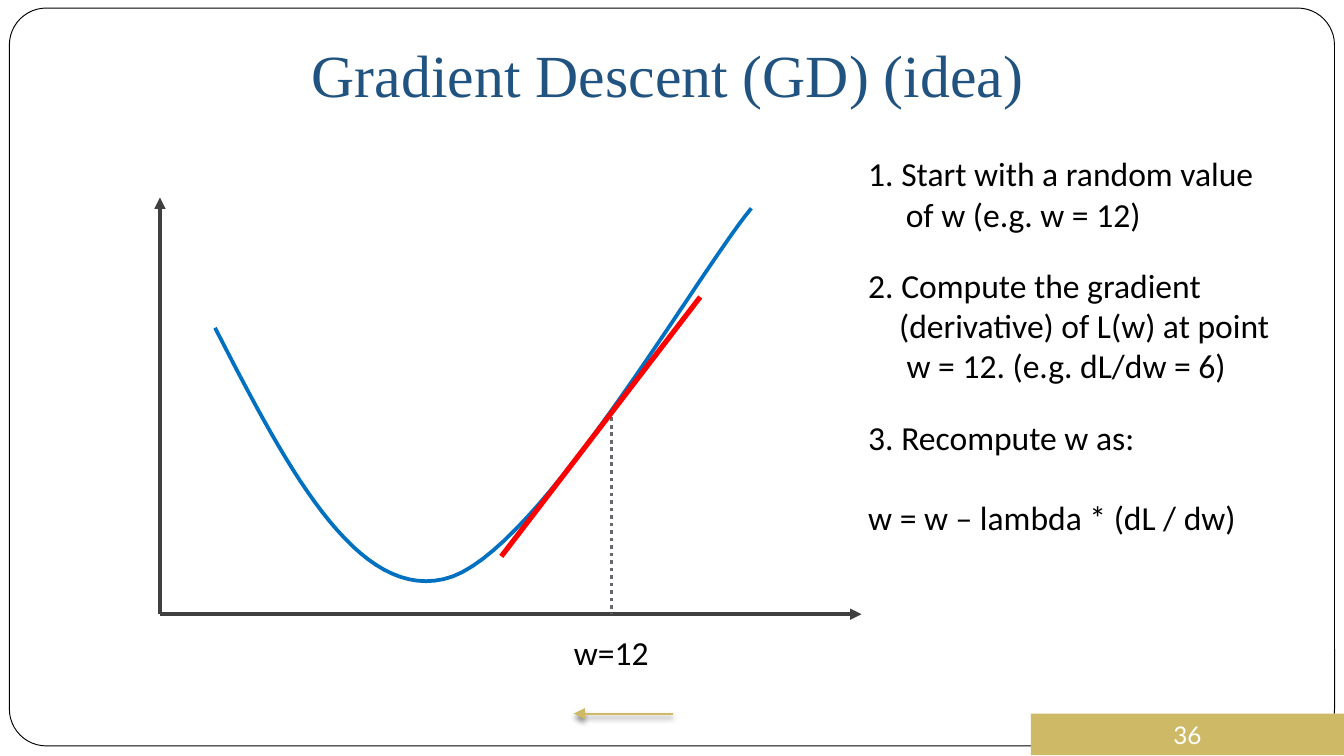
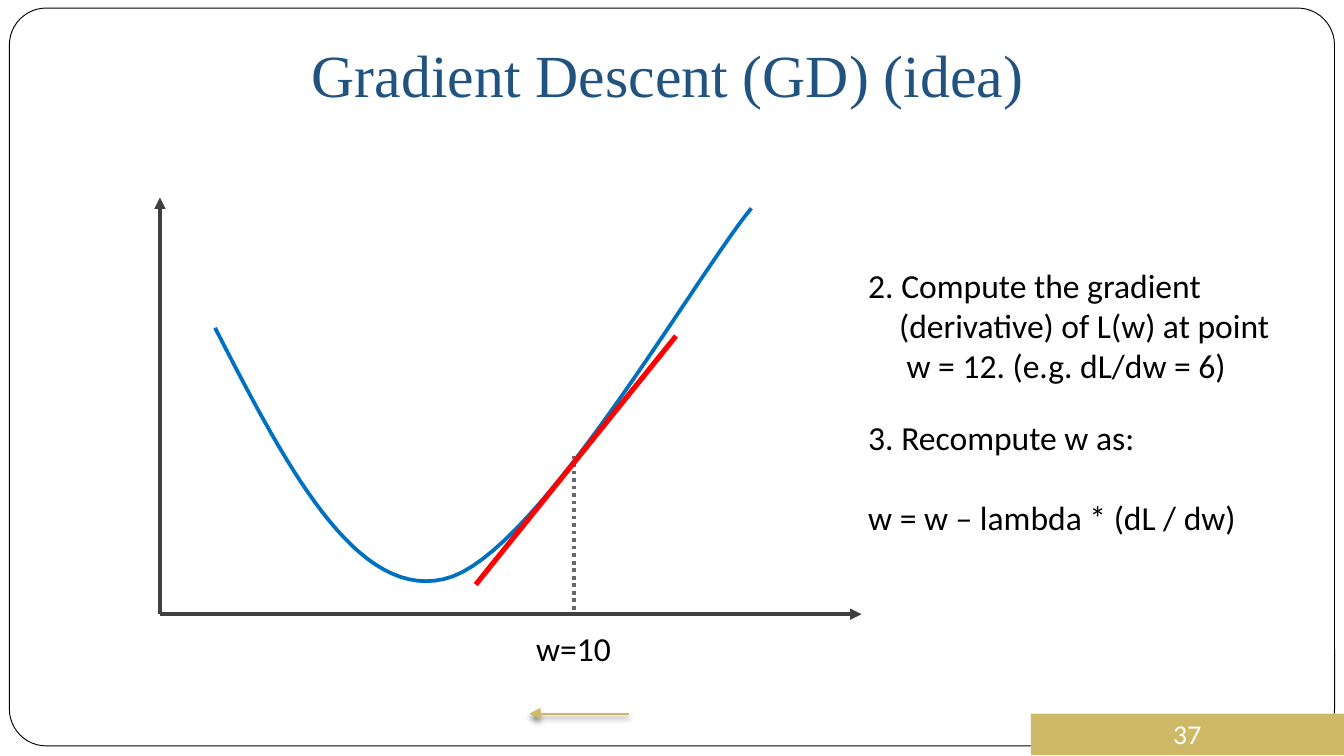
from lxml.etree import SubElement
from pptx import Presentation
from pptx.dml.color import RGBColor
from pptx.enum.dml import MSO_LINE
from pptx.enum.shapes import MSO_CONNECTOR, MSO_SHAPE
from pptx.enum.text import MSO_ANCHOR, MSO_AUTO_SIZE, PP_ALIGN
from pptx.oxml.ns import qn
from pptx.util import Inches, Pt

COLORS = {
    "paper": "FFFFFF", "ink": "000000", "gold": "CEB966", "title": "215380",
    "axis": "404040", "curve": "0070C0", "dots": "69676D", "tangent": "FF0000",
}
TITLE = "Gradient Descent (GD) (idea)"
ORIGIN = (1.19, 4.57)
CURVE_START = (1.6, 2.44)
CURVE_SEGMENTS = [
    [(2.12, 3.45), (2.64, 4.46), (3.3, 4.31)],
    [(3.97, 4.17), (5.15, 2.09), (5.59, 1.55)],
]
CURVE_STEPS = 30
START_STEP = "1. Start with a random value\vof w (e.g. w = 12)"
GRADIENT_STEP = ("2. Compute the gradient\v(derivative) of L(w) at point"
                 "\v w = 12. (e.g. dL/dw = 6)")
UPDATE_STEP = "3. Recompute w as:\nw = w – lambda * (dL / dw)"


def color(name):
    """Return the named colour."""
    return RGBColor.from_string(COLORS[name])


def style_text(paragraph, font, size, ink, align=PP_ALIGN.LEFT):
    """Format a paragraph and its runs."""
    paragraph.alignment = align
    for span in paragraph.runs:
        span.font.name = font
        span.font.size = Pt(size)
        span.font.color.rgb = color(ink)


def set_margins(frame, inset):
    """Give a text frame the same inset on all sides."""
    frame.margin_left = frame.margin_right = Inches(inset)
    frame.margin_top = frame.margin_bottom = Inches(inset)


def add_panel(page, kind, left, top, width, height, fill):
    """Add a filled shape without outline or shadow."""
    panel = page.shapes.add_shape(
        kind, Inches(left), Inches(top), Inches(width), Inches(height))
    panel.shadow.inherit = False
    panel.fill.solid()
    panel.fill.fore_color.rgb = color(fill)
    panel.line.fill.background()
    return panel


def add_line(shapes, start, end, ink, width, arrow=False, shadow=False):
    """Add a straight line, optionally with an arrowhead and a shadow."""
    line = shapes.add_connector(
        MSO_CONNECTOR.STRAIGHT, *[Inches(value) for value in (*start, *end)])
    line.line.color.rgb = color(ink)
    line.line.width = Pt(width)
    if arrow:
        SubElement(line.element.spPr.find(qn("a:ln")), qn("a:tailEnd"), type="triangle")
    effects = SubElement(line.element.spPr, qn("a:effectLst"))
    if shadow:
        outer = SubElement(effects, qn("a:outerShdw"), blurRad=str(Pt(3)),
                           dist=str(Pt(2)), dir="5400000", rotWithShape="0")
        tint = SubElement(outer, qn("a:srgbClr"), val=COLORS["ink"])
        SubElement(tint, qn("a:alpha"), val="50000")
    return line


def add_text(shapes, left, top, width, height, text, wrap=True, hang=0, gap=0):
    """Add a text box with an optional hanging indent and paragraph gap."""
    box = shapes.add_textbox(Inches(left), Inches(top), Inches(width), Inches(height))
    frame = box.text_frame
    frame.word_wrap = wrap
    set_margins(frame, 0.05)
    frame.text = text
    for index, paragraph in enumerate(frame.paragraphs):
        if hang:
            properties = paragraph._p.get_or_add_pPr()
            properties.set("marL", str(Inches(hang)))
            properties.set("indent", str(-Inches(hang)))
        if index:
            paragraph.space_before = Pt(gap)
        style_text(paragraph, "Calibri", 18, "ink")


def add_title(page):
    """Fill and place the title placeholder."""
    title = page.shapes.title
    title.left, title.top = Inches(-0.06), Inches(0.28)
    title.width, title.height = Inches(10.06), Inches(0.64)
    frame = title.text_frame
    frame.text = TITLE
    frame.auto_size = MSO_AUTO_SIZE.NONE
    frame.vertical_anchor = MSO_ANCHOR.TOP
    set_margins(frame, 0)
    style_text(frame.paragraphs[0], "Times New Roman", 32, "title", PP_ALIGN.CENTER)


def add_backdrop(page, number):
    """Add the rounded frame and the page number band behind the title."""
    border = add_panel(page, MSO_SHAPE.ROUNDED_RECTANGLE, 0.07, 0.06, 9.86, 5.49, "paper")
    border.adjustments[0] = 0.05
    border.line.color.rgb = color("ink")
    border.line.width = Pt(0.5)
    band = add_panel(page, MSO_SHAPE.RECTANGLE, 7.67, 5.31, 2.33, 0.31, "gold")
    frame = band.text_frame
    frame.text = str(number)
    frame.word_wrap = False
    frame.vertical_anchor = MSO_ANCHOR.MIDDLE
    set_margins(frame, 0)
    style_text(frame.paragraphs[0], "Lato", 13, "paper", PP_ALIGN.CENTER)
    for panel in (border, band):
        page.shapes.title.element.addprevious(panel.element)


def curve_points():
    """Return points along the cubic loss curve."""
    points = [CURVE_START]
    for first, second, end in CURVE_SEGMENTS:
        start = points[-1]
        for step in range(1, CURVE_STEPS + 1):
            t = step / CURVE_STEPS
            weights = ((1 - t) ** 3, 3 * t * (1 - t) ** 2, 3 * t ** 2 * (1 - t), t ** 3)
            points.append(tuple(
                sum(weight * value for weight, value in zip(weights, axis))
                for axis in zip(start, first, second, end)))
    return points


def add_loss_plot(page):
    """Draw the axes and the loss curve."""
    for end in ((1.19, 1.47), (6.41, 4.57)):
        add_line(page.shapes, ORIGIN, end, "axis", 2, arrow=True)
    points = [(Inches(x), Inches(y)) for x, y in curve_points()]
    builder = page.shapes.build_freeform(*points[0])
    builder.add_line_segments(points[1:], close=False)
    curve = builder.convert_to_shape()
    curve.shadow.inherit = False
    curve.fill.background()
    curve.line.color.rgb = color("curve")
    curve.line.width = Pt(2)


def add_marker(page, label, x, top, bottom, label_top):
    """Group a dotted drop line with its label."""
    group = page.shapes.add_group_shape()
    drop = add_line(group.shapes, (x, top), (x, bottom), "dots", 2)
    drop.line.dash_style = MSO_LINE.ROUND_DOT
    add_text(group.shapes, x - 0.33, label_top, 0.66, 0.37, label, wrap=False)


def add_descent_page(deck, number, marker, tangent, arrow_left):
    """Add one gradient descent step."""
    page = deck.slides.add_slide(deck.slide_layouts[5])
    add_title(page)
    add_backdrop(page, number)
    add_loss_plot(page)
    add_marker(page, *marker)
    add_text(page.shapes, 6.41, 1.92, 3.31, 1.01, GRADIENT_STEP, hang=0.23)
    add_text(page.shapes, 6.41, 3.05, 3.31, 1.01, UPDATE_STEP, gap=21.5)
    add_line(page.shapes, *tangent, "tangent", 2.75)
    add_line(page.shapes, (arrow_left + 0.74, 5.31), (arrow_left, 5.31),
             "gold", 1, arrow=True, shadow=True)
    return page


def main():
    """Build and save the deck."""
    deck = Presentation()
    deck.slide_width = Inches(10)
    deck.slide_height = Inches(10 * 9 / 16)
    first = add_descent_page(deck, 36, ("w=12", 4.55, 3.05, 4.57, 4.65),
                             ((3.73, 4.14), (5.21, 2.21)), 4.27)
    add_text(first.shapes, 6.41, 1.09, 3.19, 0.71, START_STEP, hang=0.28)
    add_descent_page(deck, 37, ("w=10", 4.27, 3.39, 4.56, 4.62),
                     ((3.54, 4.35), (5.03, 2.5)), 3.94)
    deck.save("out.pptx")


if __name__ == "__main__":
    main()
